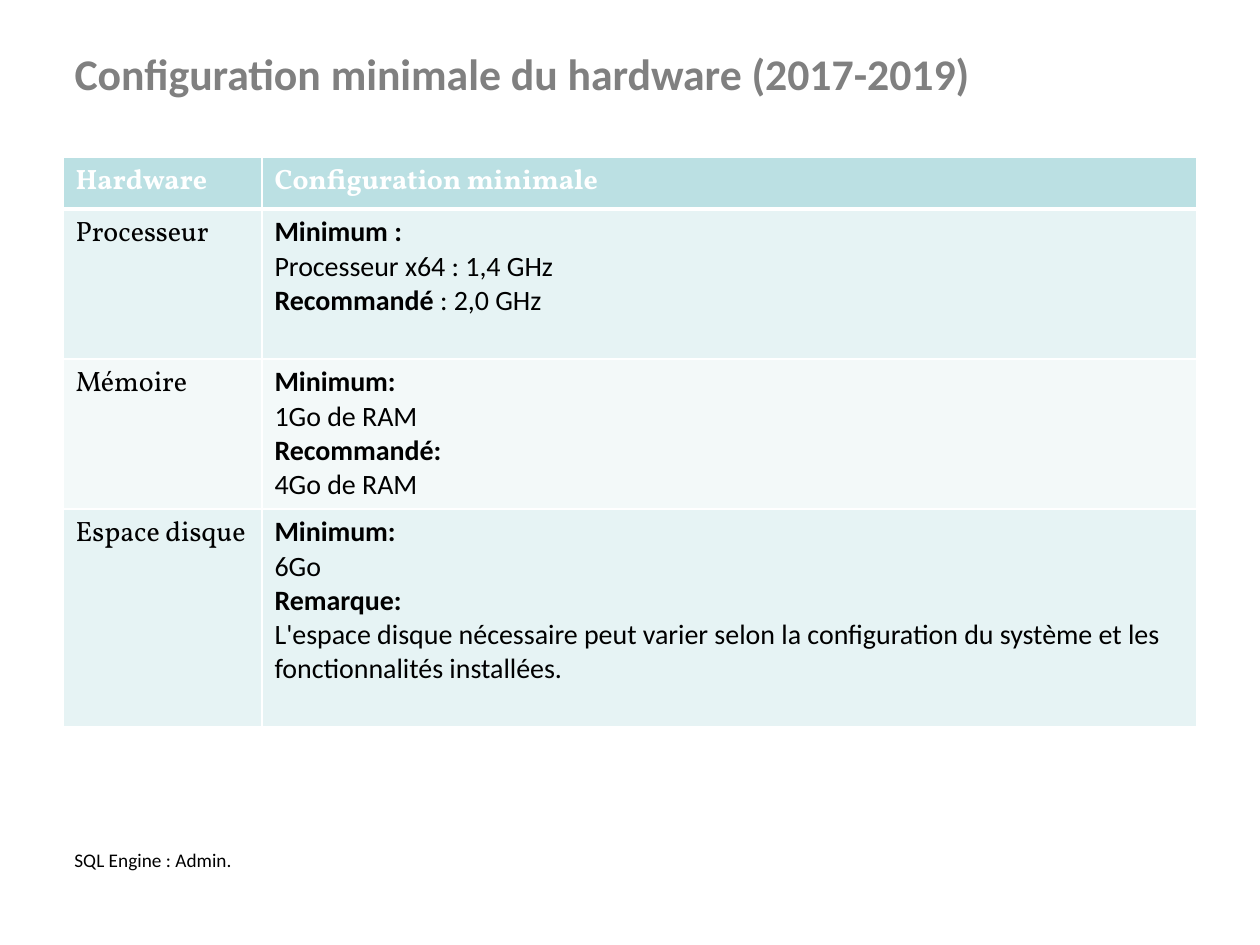
from lxml.etree import SubElement
from pptx import Presentation
from pptx.dml.color import RGBColor
from pptx.enum.text import MSO_ANCHOR, MSO_AUTO_SIZE, PP_ALIGN
from pptx.oxml.ns import qn
from pptx.util import Pt

EMU_PER_PX = 914400 // 126 + 1 / 7
COLORS = {"title": "808080", "text": "000000", "white": "FFFFFF",
          "head": "BBE0E3", "odd": "E6F3F4", "even": "F3F9F9"}


def px(n):
    return round(n * EMU_PER_PX)


def add_run(p, text, color, **font):
    r = p.add_run()
    r.text = text
    for name, value in font.items():
        setattr(r.font, name, value)
    r.font.color.rgb = RGBColor.from_string(COLORS[color])


prs = Presentation()
prs.slide_width, prs.slide_height = px(1260), px(945)
s = prs.slides.add_slide(prs.slide_layouts[5])

title = s.shapes.title
footer = s.shapes.add_textbox(0, 0, px(348), px(54))
for sp, box, text, color, font in [
    (title, (62, 40, 1135, 100), "Configuration minimale du hardware (2017-2019)", "title",
     {"name": "Calibri", "size": Pt(25), "bold": True}),
    (footer, (62, 842, 348, 54), "SQL Engine : Admin.", "text",
     {"name": "Calibri", "size": Pt(11), "bold": False}),
]:
    for name, value in zip(("left", "top", "width", "height"), box):
        setattr(sp, name, px(value))
    tf = sp.text_frame
    for name, value in {"word_wrap": True, "auto_size": MSO_AUTO_SIZE.NONE,
                        "vertical_anchor": MSO_ANCHOR.TOP}.items():
        setattr(tf, name, value)
    p = tf.paragraphs[0]
    p.alignment = PP_ALIGN.LEFT
    add_run(p, text, color, **font)

rows = [
    ("Hardware", [[("Configuration minimale", True)]], 52, "head"),
    ("Processeur", [[("Minimum :", True)],
                    [("Processeur x64 : 1,4 GHz", False)],
                    [("Recommandé", True), (" : 2,0 GHz", False)]], 150, "odd"),
    ("Mémoire", [[("Minimum:", True)], [("1Go de RAM", False)],
                 [("Recommandé:", True)], [("4Go de RAM", False)]], 150, "even"),
    ("Espace disque", [[("Minimum:", True)], [("6Go", False)],
                       [("Remarque:", True)],
                       [("L'espace disque nécessaire peut varier selon la configuration "
                         "du système et les fonctionnalités installées.", False)]], 218, "odd"),
]
table = s.shapes.add_table(len(rows), 2, px(63), px(157), px(1134), px(570)).table
for col, width in zip(table.columns, (199, 935)):
    col.width = px(width)

for i, (label, lines, height, fill) in enumerate(rows):
    table.rows[i].height = px(height)
    is_head = i == 0
    for j, paragraphs in enumerate(([[(label, is_head)]], lines)):
        cell = table.cell(i, j)
        tcPr = cell._tc.get_or_add_tcPr()
        for side in ("lnL", "lnR", "lnT", "lnB"):
            thick = (i, side) in ((0, "lnB"), (1, "lnT"))
            ln = SubElement(tcPr, qn("a:" + side), w=str(Pt(3 if thick else 0.96)))
            SubElement(SubElement(ln, qn("a:solidFill")), qn("a:srgbClr"), val=COLORS["white"])
        cell.fill.solid()
        cell.fill.fore_color.rgb = RGBColor.from_string(COLORS[fill])
        tf = cell.text_frame
        for k, runs in enumerate(paragraphs):
            p = tf.add_paragraph() if k else tf.paragraphs[0]
            for text, bold in runs:
                add_run(p, text, "white" if is_head else "text", size=Pt(16), bold=bold,
                        name="Vollkorn" if is_head or j == 0 else "Calibri")

prs.save("out.pptx")
